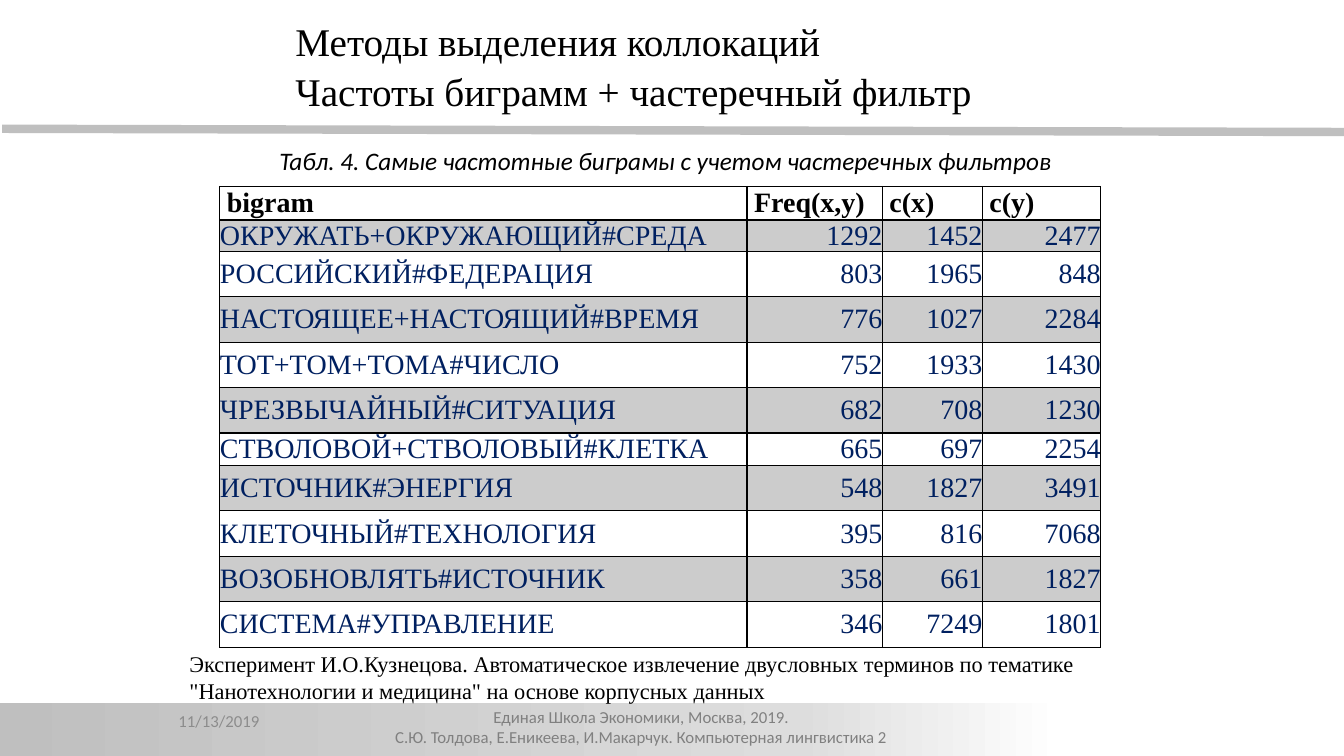
from lxml import etree
from pptx import Presentation
from pptx.dml.color import RGBColor
from pptx.enum import shapes, text
from pptx.oxml import ns
from pptx.util import Pt

COLORS = {
    "ink": "000000", "navy": "002060", "rule": "BFBFBF", "mist": "DDDDDD",
    "white": "FFFFFF", "footer": "808080", "date": "8C8C8C",
}
SERIF, SANS = "Times New Roman", "Calibri"
LEFT, CENTER, RIGHT = text.PP_ALIGN.LEFT, text.PP_ALIGN.CENTER, text.PP_ALIGN.RIGHT
TOP, MIDDLE = text.MSO_ANCHOR.TOP, text.MSO_ANCHOR.MIDDLE

HEADINGS = ["bigram", "Freq(x,y)", "c(x)", "c(y)"]
BIGRAMS = [
    ("ОКРУЖАТЬ+ОКРУЖАЮЩИЙ#СРЕДА", 1292, 1452, 2477),
    ("РОССИЙСКИЙ#ФЕДЕРАЦИЯ", 803, 1965, 848),
    ("НАСТОЯЩЕЕ+НАСТОЯЩИЙ#ВРЕМЯ", 776, 1027, 2284),
    ("ТОТ+ТОМ+ТОМА#ЧИСЛО", 752, 1933, 1430),
    ("ЧРЕЗВЫЧАЙНЫЙ#СИТУАЦИЯ", 682, 708, 1230),
    ("СТВОЛОВОЙ+СТВОЛОВЫЙ#КЛЕТКА", 665, 697, 2254),
    ("ИСТОЧНИК#ЭНЕРГИЯ", 548, 1827, 3491),
    ("КЛЕТОЧНЫЙ#ТЕХНОЛОГИЯ", 395, 816, 7068),
    ("ВОЗОБНОВЛЯТЬ#ИСТОЧНИК", 358, 661, 1827),
    ("СИСТЕМА#УПРАВЛЕНИЕ", 346, 7249, 1801),
]
COLUMN_WIDTHS = [376.6, 96.7, 71.5, 84.4]
HEADER_HEIGHT, ROW_HEIGHT = 24, 32.5
TIGHT_ROWS = {1: 15, 6: 23}


def rgb(name):
    return RGBColor.from_string(COLORS[name])


def child(parent, tag, **attributes):
    return etree.SubElement(parent, ns.qn(tag), **attributes)


def points(box):
    return [Pt(length) for length in box]


def write(paragraph, words, size, font, color, bold=False, italic=False, align=LEFT):
    paragraph.alignment = align
    run = paragraph.add_run()
    run.text = words
    run.font.size, run.font.name = Pt(size), font
    run.font.bold, run.font.italic = bold, italic
    run.font.color.rgb = rgb(color)


def fill_frame(frame, lines, anchor, **style):
    frame.word_wrap = True
    frame.auto_size = text.MSO_AUTO_SIZE.NONE
    frame.vertical_anchor = anchor
    for index, line in enumerate(lines):
        paragraph = frame.paragraphs[0] if index == 0 else frame.add_paragraph()
        write(paragraph, line, **style)
    return frame.paragraphs


def add_label(slide, box, lines, anchor=TOP, **style):
    label = slide.shapes.add_textbox(*points(box))
    return fill_frame(label.text_frame, lines, anchor, **style)


def add_heading(slide, box):
    heading = slide.shapes.title
    heading.left, heading.top, heading.width, heading.height = points(box)
    lines = ["Методы выделения коллокаций", "Частоты биграмм + частеречный фильтр"]
    for paragraph in fill_frame(heading.text_frame, lines, MIDDLE,
                                size=28, font=SERIF, color="ink"):
        paragraph.space_before = Pt(2)


def add_rule(slide, box):
    left, top, width, drop = box
    rule = slide.shapes.add_connector(
        shapes.MSO_CONNECTOR.STRAIGHT, *points((left, top, left + width, top + drop)))
    rule.line.color.rgb = rgb("rule")
    rule.line.width = Pt(6)
    child(rule._element.spPr, "a:effectLst")


def add_footer(slide, box):
    left, top, width, height = box
    band = slide.shapes.add_shape(shapes.MSO_SHAPE.RECTANGLE, *points(box))
    band.shadow.inherit = False
    band.line.fill.background()
    band.fill.gradient()
    band.fill.gradient_angle = 0
    stops = band._element.spPr.find(ns.qn("a:gradFill")).find(ns.qn("a:gsLst"))
    for stop in list(stops):
        stops.remove(stop)
    for percent, color in [(0, "rule"), (75, "mist"), (100, "white")]:
        stop = child(stops, "a:gs", pos=str(percent * 1000))
        child(stop, "a:srgbClr", val=COLORS[color])
    add_label(slide, (left + 183.6, top - 0.7, 553, 32.4),
              ["Единая Школа Экономики, Москва, 2019. ",
               "С.Ю. Толдова, Е.Еникеева, И.Макарчук. Компьютерная лингвистика 2 "],
              size=12, font=SANS, color="footer", align=CENTER)
    add_label(slide, (left + 121, top - 1.4, 167.8, 28.8), ["11/13/2019"], MIDDLE,
              size=12, font=SANS, color="date")


def add_borders(cell):
    properties = cell._tc.get_or_add_tcPr()
    for position, side in enumerate(["a:lnL", "a:lnR", "a:lnT", "a:lnB"]):
        border = child(properties, side, w=str(Pt(1)))
        child(child(border, "a:solidFill"), "a:srgbClr", val=COLORS["ink"])
        properties.insert(position, border)


def shade(cell):
    cell.fill.solid()
    cell.fill.fore_color.rgb = rgb("ink")
    tint = cell._tc.tcPr.find(ns.qn("a:solidFill"))[0]
    child(tint, "a:alpha", val="20000")


def add_bigram_table(slide, box):
    rows = [HEADINGS, *BIGRAMS]
    table = slide.shapes.add_table(len(rows), len(HEADINGS), *points(box)).table
    table.first_row = table.horz_banding = False
    for column, width in zip(table.columns, COLUMN_WIDTHS):
        column.width = Pt(width)
    for row_index, values in enumerate(rows):
        header = row_index == 0
        height = HEADER_HEIGHT if header else TIGHT_ROWS.get(row_index, ROW_HEIGHT)
        table.rows[row_index].height = Pt(height)
        for column_index, value in enumerate(values):
            cell = table.cell(row_index, column_index)
            cell.vertical_anchor = MIDDLE
            cell.margin_top = cell.margin_bottom = 0
            cell.margin_left = cell.margin_right = Pt(5 if header else 0)
            if row_index % 2:
                shade(cell)
            else:
                cell.fill.background()
            add_borders(cell)
            paragraph = cell.text_frame.paragraphs[0]
            paragraph.space_before = Pt(0 if header else 3)
            write(paragraph, str(value), 20, SERIF, "ink" if header else "navy",
                  bold=header, align=LEFT if header or column_index == 0 else RIGHT)


def add_caption(slide, box):
    caption = add_label(
        slide, box, ["Табл. 4. Самые частотные биграмы с учетом частеречных фильтров"],
        MIDDLE, size=18, font=SANS, color="ink", italic=True)[0]
    caption._p.get_or_add_pPr().set("indent", str(Pt(35.4)))


def add_source_note(slide, box):
    add_label(slide, box,
              ["Эксперимент И.О.Кузнецова. Автоматическое извлечение двусловных терминов "
               "по тематике \"Нанотехнологии и медицина\" на основе корпусных данных"],
              size=16, font=SERIF, color="ink")


def main():
    deck = Presentation()
    deck.slide_width, deck.slide_height = Pt(960), Pt(540)
    slide = deck.slides.add_slide(deck.slide_layouts[5])
    add_rule(slide, (1.5, 92, 960, 2.3))
    add_footer(slide, (-0.7, 502, 760, 41))
    add_bigram_table(slide, (157, 133.2, 629.2, 332))
    add_caption(slide, (157, 100, 606, 29))
    add_source_note(slide, (128.2, 461, 658, 46))
    add_heading(slide, (203.8, 9.4, 567.4, 75))
    deck.save("out.pptx")


if __name__ == "__main__":
    main()
